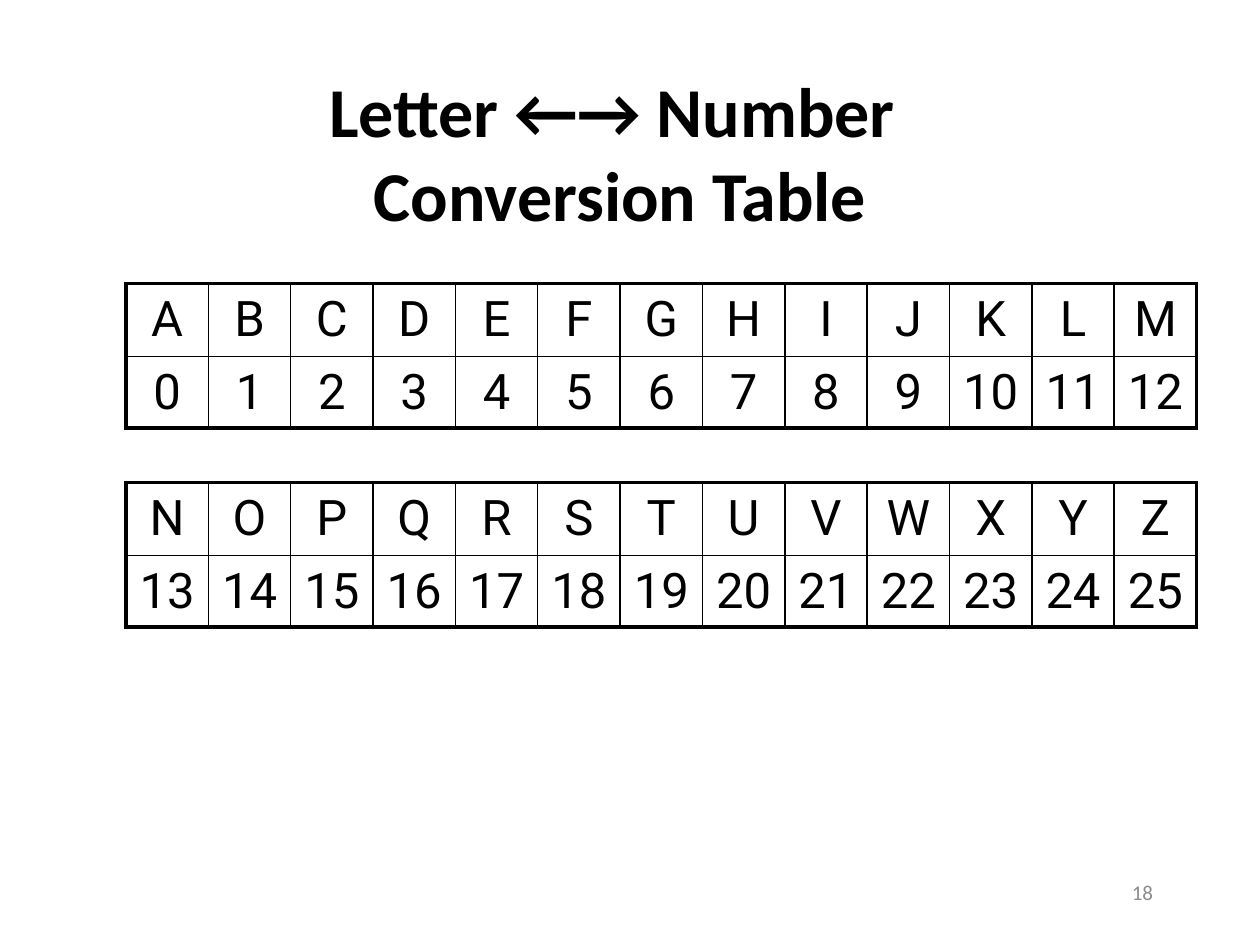
from lxml import etree
from pptx import Presentation
from pptx import util as u
from pptx.dml.color import RGBColor
from pptx.enum import text
from pptx.oxml import ns

BLACK = RGBColor(0x00, 0x00, 0x00)
GRAY = RGBColor(0x8C, 0x8C, 0x8C)
ALPHABET = "ABCDEFGHIJKLMNOPQRSTUVWXYZ"
LETTERS_PER_TABLE = 13
THIN, THICK = 1, 2.25


def write(frame, content, font="Calibri", size=28, color=BLACK, bold=False,
          align=text.PP_ALIGN.CENTER):
    """Fill the first paragraph of a frame; newlines become line breaks."""
    para = frame.paragraphs[0]
    para.alignment = align
    for index, line in enumerate(content.split("\n")):
        if index:
            para.add_line_break()
        span = para.add_run()
        span.text = line
        span.font.name = font
        span.font.size = u.Pt(size)
        span.font.bold = bold
        span.font.color.rgb = color


def set_borders(cell, **widths):
    """Draw the cell's edges, named L, R, T and B, with widths in points."""
    properties = cell._tc.get_or_add_tcPr()
    for edge in "LRTB":
        line = etree.SubElement(properties, ns.qn(f"a:ln{edge}"),
                                w=str(u.Pt(widths[edge])))
        fill = etree.SubElement(line, ns.qn("a:solidFill"))
        etree.SubElement(fill, ns.qn("a:srgbClr"), val=str(BLACK))


class SlideBuilder:
    """Holds the current slide and the table style."""

    cell_font = "Roboto"
    row_heights = (0.58, 0.56)

    def __init__(self, slide):
        """Start on the given slide."""
        self.slide = slide

    def label(self, content, left, top, width, height, **style):
        """Add a wrapped, vertically centred text box."""
        box = self.slide.shapes.add_textbox(
            u.Inches(left), u.Inches(top), u.Inches(width), u.Inches(height))
        frame = box.text_frame
        frame.word_wrap = True
        frame.vertical_anchor = text.MSO_ANCHOR.MIDDLE
        write(frame, content, **style)

    def table(self, rows, left, top, width):
        """Add a table with thick outer and thin inner borders."""
        last_row, last_column = len(rows) - 1, len(rows[0]) - 1
        frame = self.slide.shapes.add_table(
            len(rows), len(rows[0]), u.Inches(left), u.Inches(top),
            u.Inches(width), u.Inches(sum(self.row_heights)))
        table = frame.table
        table.first_row = table.horz_banding = False
        for column in table.columns:
            column.width = u.Inches(width / len(rows[0]))
        for r, values in enumerate(rows):
            table.rows[r].height = u.Inches(self.row_heights[r])
            for c, value in enumerate(values):
                cell = table.cell(r, c)
                set_borders(cell,
                            L=THICK if c == 0 else THIN,
                            R=THICK if c == last_column else THIN,
                            T=THICK if r == 0 else THIN,
                            B=THICK if r == last_row else THIN)
                cell.fill.background()
                cell.vertical_anchor = text.MSO_ANCHOR.MIDDLE
                write(cell.text_frame, str(value), font=self.cell_font)


def main():
    """Build the conversion table slide."""
    deck = Presentation()
    deck.slide_width, deck.slide_height = u.Inches(10), u.Inches(7.5)
    page = SlideBuilder(deck.slides.add_slide(deck.slide_layouts[6]))

    page.label("18", 7.17, 6.83, 2.08, 0.5, size=12, color=GRAY,
               align=text.PP_ALIGN.RIGHT)
    page.label("Letter \u2190\u2192 Number \nConversion Table",
               0.67, 0.58, 8.5, 1.25, size=40, bold=True)
    for index, top in enumerate((2.25, 3.83)):
        start = index * LETTERS_PER_TABLE
        numbers = range(start, start + LETTERS_PER_TABLE)
        page.table([[ALPHABET[n] for n in numbers], numbers], 1, top, 8.5)

    deck.save("out.pptx")


main()
